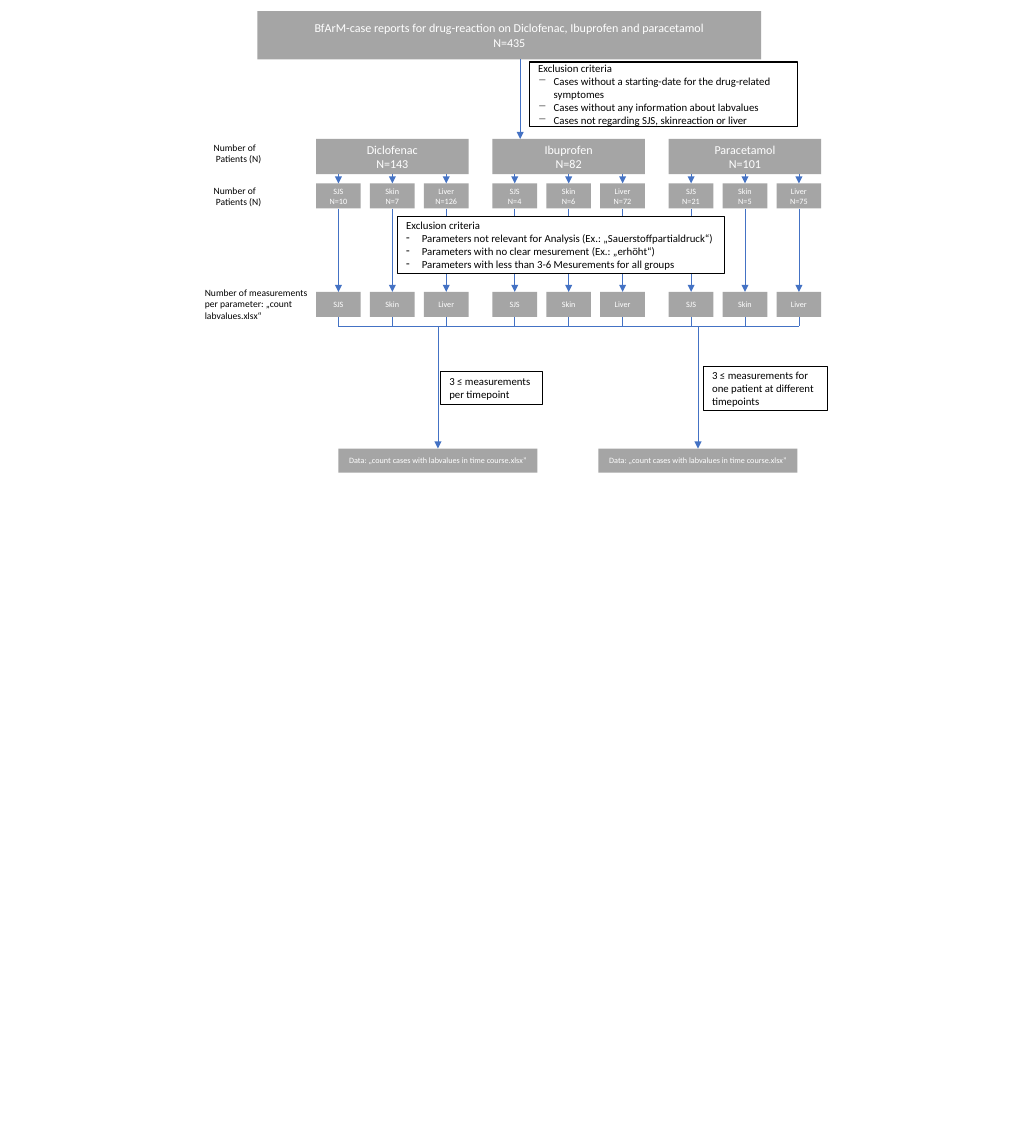
from collections import namedtuple

from lxml.etree import SubElement
from pptx import Presentation
from pptx.dml.color import RGBColor
from pptx.enum.shapes import MSO_CONNECTOR, MSO_SHAPE
from pptx.enum.text import MSO_ANCHOR, MSO_AUTO_SIZE, PP_ALIGN
from pptx.oxml.ns import qn
from pptx.util import Cm, Pt

GREY, BLUE, WHITE, BLACK = "A5A5A5", "4472C4", "FFFFFF", "000000"
Box = namedtuple("Box", "left top width height")

SUBGROUPS = ["SJS", "Skin", "Liver"]
DRUGS = {
    "Diclofenac": (143, [10, 7, 126]),
    "Ibuprofen": (82, [4, 6, 72]),
    "Paracetamol": (101, [21, 5, 75]),
}
GROUP_LEFT, GROUP_PITCH, GROUP_WIDTH = 9.32, 5.2, 4.5
SUBGROUP_WIDTH, SUBGROUP_HEIGHT = 1.32, 0.74
RAIL_TOP = 9.63
HEAD_SIZE, NOTE_SIZE, LABEL_SIZE, SMALL_SIZE = 10.1, 9, 8, 6.8


def paint(color_format, color):
    color_format.rgb = RGBColor.from_string(color)


def lengths(box):
    return [Cm(value) for value in box]


def write(shape, lines, size, color, align=PP_ALIGN.LEFT, anchor=MSO_ANCHOR.MIDDLE, bullet=None):
    """Fill a shape with one paragraph per line; a bullet marks all lines but the first."""
    frame = shape.text_frame
    frame.text = "\n".join(lines)
    frame_format = {"word_wrap": True, "auto_size": MSO_AUTO_SIZE.NONE, "vertical_anchor": anchor}
    for name, value in frame_format.items():
        setattr(frame, name, value)
    for index, para in enumerate(frame.paragraphs):
        para.alignment = align
        if bullet and index:
            properties = para._p.get_or_add_pPr()
            properties.set("marL", str(Cm(0.46)))
            properties.set("indent", str(Cm(-0.46)))
            SubElement(properties, qn("a:buChar"), char=bullet)
        for span in para.runs:
            for name, value in {"name": "Calibri", "size": Pt(size)}.items():
                setattr(span.font, name, value)
            paint(span.font.color, color)


def add_rectangle(page, box, fill):
    shape = page.shapes.add_shape(MSO_SHAPE.RECTANGLE, *lengths(box))
    shape.shadow.inherit = False
    shape.fill.solid()
    paint(shape.fill.fore_color, fill)
    return shape


def add_step(page, box, lines, size=SMALL_SIZE):
    shape = add_rectangle(page, box, GREY)
    shape.line.fill.background()
    write(shape, lines, size, WHITE, PP_ALIGN.CENTER)


def add_note(page, box, lines, bullet=None):
    shape = add_rectangle(page, box, WHITE)
    paint(shape.line.color, BLACK)
    shape.line.width = Pt(1)
    write(shape, lines, NOTE_SIZE, BLACK, bullet=bullet)


def add_label(page, box, lines):
    shape = page.shapes.add_textbox(*lengths(box))
    write(shape, lines, LABEL_SIZE, BLACK, anchor=MSO_ANCHOR.TOP)


def add_line(page, start, end, arrow=False):
    connector = page.shapes.add_connector(MSO_CONNECTOR.STRAIGHT, *lengths(start + end))
    paint(connector.line.color, BLUE)
    connector.line.width = Pt(0.5)
    properties = connector.element.spPr
    if arrow:
        SubElement(properties.find(qn("a:ln")), qn("a:tailEnd"), type="triangle")
    SubElement(properties, qn("a:effectLst"))


def add_heading(page, box):
    title = page.shapes.title
    title.left, title.top, title.width, title.height = lengths(box)
    title.fill.solid()
    paint(title.fill.fore_color, GREY)
    lines = [
        "BfArM-case reports for drug-reaction on Diclofenac, Ibuprofen and paracetamol",
        "N=435",
    ]
    write(title, lines, HEAD_SIZE, WHITE, PP_ALIGN.CENTER)


def add_drug_group(page, box, drug, patients, counts):
    """Draw a drug, its patient counts and its measurement row down to the rail."""
    add_step(page, Box(box.left, box.top, box.width, 1.04), [drug, f"N={patients}"], HEAD_SIZE)
    pitch = (box.width - SUBGROUP_WIDTH) / (len(SUBGROUPS) - 1)
    patients_top = box.top + 1.31
    measurements_top = box.top + 4.51
    for index, (name, count) in enumerate(zip(SUBGROUPS, counts)):
        left = box.left + index * pitch
        center = left + SUBGROUP_WIDTH / 2
        for top, lines in [(patients_top, [name, f"N={count}"]), (measurements_top, [name])]:
            add_step(page, Box(left, top, SUBGROUP_WIDTH, SUBGROUP_HEIGHT), lines)
        add_line(page, (center, box.top + 1.04), (center, patients_top), arrow=True)
        add_line(page, (center, patients_top + SUBGROUP_HEIGHT), (center, measurements_top), arrow=True)
        add_line(page, (center, measurements_top + SUBGROUP_HEIGHT), (center, box.top + box.height))


def add_outcome(page, box, note_box, condition):
    """Draw an arrow from the rail to a data file, with its condition beside it."""
    data_height = 0.71
    data_top = box.top + box.height - data_height
    center = box.left + box.width / 2
    add_step(
        page,
        Box(box.left, data_top, box.width, data_height),
        ["Data: „count cases with labvalues in time course.xlsx”"],
    )
    add_line(page, (center, box.top), (center, data_top), arrow=True)
    add_note(page, note_box, [condition])


def build_flow_chart(page):
    add_heading(page, Box(7.59, 0.33, 14.86, 1.42))
    add_line(page, (15.34, 1.75), (15.34, 4.1), arrow=True)
    add_note(page, Box(15.62, 1.83, 7.9, 1.9), [
        "Exclusion criteria",
        "Cases without a starting-date for the drug-related symptomes",
        "Cases without any information about labvalues",
        "Cases not regarding SJS, skinreaction or liver",
    ], bullet="−")

    for index, (drug, (patients, counts)) in enumerate(DRUGS.items()):
        left = GROUP_LEFT + index * GROUP_PITCH
        add_drug_group(page, Box(left, 4.1, GROUP_WIDTH, RAIL_TOP - 4.1), drug, patients, counts)
    rail_left = GROUP_LEFT + SUBGROUP_WIDTH / 2
    rail_right = GROUP_LEFT + 2 * GROUP_PITCH + GROUP_WIDTH - SUBGROUP_WIDTH / 2
    add_line(page, (rail_left, RAIL_TOP), (rail_right, RAIL_TOP))

    add_note(page, Box(11.73, 6.38, 9.63, 1.7), [
        "Exclusion criteria",
        "Parameters not relevant for Analysis (Ex.: „Sauerstoffpartialdruck“)",
        "Parameters with no clear mesurement (Ex.: „erhöht“)",
        "Parameters with less than 3-6 Mesurements for all groups",
    ], bullet="-")

    for top in (4.06, 5.33):
        add_label(page, Box(6.05, top, 2.17, 0.94), ["Number of", " Patients (N)"])
    add_label(
        page,
        Box(5.79, 8.33, 4.09, 1.27),
        ["Number of measurements", "per parameter: „count", "labvalues.xlsx“"],
    )

    outcomes = [
        (9.98, Box(13, 10.95, 3, 0.99), "3 ≤ measurements per timepoint"),
        (17.65, Box(20.75, 10.8, 3.66, 1.3),
         "3 ≤ measurements for one patient at different timepoints"),
    ]
    for left, note_box, condition in outcomes:
        add_outcome(page, Box(left, RAIL_TOP, 5.87, 4.31), note_box, condition)


def main():
    deck = Presentation()
    deck.slide_width, deck.slide_height = Cm(30.05), Cm(33.86)
    page = deck.slides.add_slide(deck.slide_layouts.get_by_name("Title Only"))
    build_flow_chart(page)
    deck.save("out.pptx")


if __name__ == "__main__":
    main()
